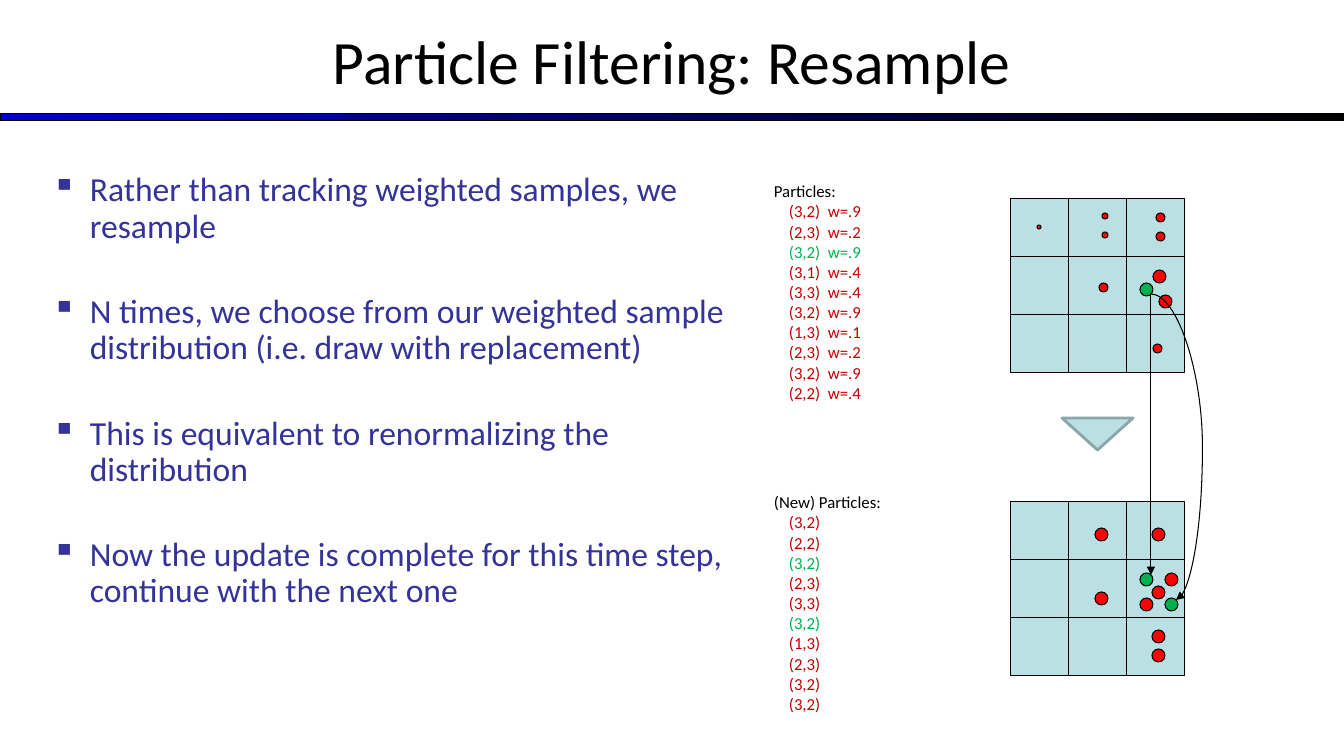
from dataclasses import dataclass

from lxml.etree import SubElement
from pptx import Presentation
from pptx.dml.color import RGBColor
from pptx.enum.shapes import MSO_CONNECTOR, MSO_SHAPE
from pptx.enum.text import MSO_ANCHOR, MSO_AUTO_SIZE, PP_ALIGN
from pptx.oxml.ns import qn
from pptx.util import Pt

PX = 12192000 / 1344


@dataclass(frozen=True)
class Theme:
    font: str = "Calibri"
    title_size: int = 44
    body_size: int = 24
    list_size: int = 12
    black: str = "000000"
    bar_blue: str = "0000CC"
    body: str = "333399"
    cell: str = "BBE0E3"
    triangle_line: str = "8AA6A8"
    red: str = "FF0000"
    green: str = "00B050"
    list_red: str = "C00000"


theme = Theme()


def px(*lengths):
    return [round(length * PX) for length in lengths]


def write(paragraph, text, size, color, formats):
    """Fill one paragraph and apply its format values."""
    run = paragraph.add_run()
    run.text = text
    run.font.name, run.font.size = theme.font, Pt(size)
    run.font.color.rgb = RGBColor.from_string(color)
    for name, value in formats.items():
        setattr(paragraph, name, value)


presentation = Presentation()
presentation.slide_width, presentation.slide_height = px(1344, 756)
slide = presentation.slides.add_slide(presentation.slide_layouts[5])

# Title
title = slide.shapes.title
title.left, title.top, title.width, title.height = px(0, -3, 1344, 126)
title_format = {"vertical_anchor": MSO_ANCHOR.MIDDLE, "word_wrap": True,
                "auto_size": MSO_AUTO_SIZE.NONE}
for name, value in title_format.items():
    setattr(title.text_frame, name, value)
write(title.text_frame.paragraphs[0], "Particle Filtering: Resample",
      theme.title_size, theme.black, {"alignment": PP_ALIGN.CENTER})

# Gradient bar under the title
bar = slide.shapes.add_shape(MSO_SHAPE.RECTANGLE, *px(0, 114, 1344, 7))
bar.shadow.inherit = False
bar.fill.gradient()
bar.fill.gradient_angle = 0
for stop, color in zip(bar.fill.gradient_stops, (theme.bar_blue, theme.black)):
    stop.color.rgb = RGBColor.from_string(color)
bar.line.color.rgb = RGBColor.from_string(theme.black)
bar.line.width = Pt(0.75)

# Bullets
bullets = [
    "Rather than tracking weighted samples, we resample",
    "N times, we choose from our weighted sample distribution (i.e. draw with replacement)",
    "This is equivalent to renormalizing the distribution",
    "Now the update is complete for this time step, continue with the next one",
]
body = slide.shapes.add_textbox(*px(42, 168, 731, 516)).text_frame
body.word_wrap = True
for index, text in enumerate(bullets):
    paragraph = body.add_paragraph() if index else body.paragraphs[0]
    write(paragraph, text, theme.body_size, theme.body,
          {"line_spacing": 0.9, "space_before": Pt(35 if index else 0)})
    properties = paragraph._p.get_or_add_pPr()
    indent, = px(38)
    properties.set("marL", str(indent))
    properties.set("indent", str(-indent))
    SubElement(properties, qn("a:buChar")).set("char", "▪")

# Particle lists: top, heading, entries, rows in green
particle_lists = [
    (176, "Particles:",
     ["(3,2)  w=.9", "(2,3)  w=.2", "(3,2)  w=.9", "(3,1)  w=.4", "(3,3)  w=.4",
      "(3,2)  w=.9", "(1,3)  w=.1", "(2,3)  w=.2", "(3,2)  w=.9", "(2,2)  w=.4"], {2}),
    (487, "(New) Particles:",
     ["(3,2)", "(2,2)", "(3,2)", "(2,3)", "(3,3)",
      "(3,2)", "(1,3)", "(2,3)", "(3,2)", "(3,2)"], {2, 5}),
]
for top, heading, entries, green_rows in particle_lists:
    frame = slide.shapes.add_textbox(*px(764, top, 151, 234)).text_frame
    frame.word_wrap = True
    write(frame.paragraphs[0], heading, theme.list_size, theme.black, {})
    for row, entry in enumerate(entries):
        paragraph = frame.add_paragraph()
        write(paragraph, entry, theme.list_size,
              theme.green if row in green_rows else theme.list_red, {})
        paragraph._p.get_or_add_pPr().set("marL", str(px(15)[0]))

# Grids: top, then particles as left, top, diameter, colour
CELL, GRID_LEFT = 58, 1011
red, green = theme.red, theme.green
grids = [
    (199, [(1140, 283, 13, green), (1159, 295, 13, red), (1156, 213, 9, red),
           (1099, 283, 9, red), (1153, 344, 9, red), (1156, 232, 9, red),
           (1102, 232, 6, red), (1102, 213, 6, red), (1153, 270, 13, red),
           (1037, 225, 4, red)]),
    (502, [(1140, 598, 13, red), (1165, 573, 13, red), (1152, 586, 13, red),
           (1095, 592, 13, red), (1152, 528, 13, red), (1140, 573, 13, green),
           (1152, 630, 13, red), (1165, 598, 13, green), (1152, 649, 13, red),
           (1095, 528, 13, red)]),
]
for grid_top, particles in grids:
    group = slide.shapes.add_group_shape()
    parts = [(MSO_SHAPE.RECTANGLE, GRID_LEFT + column * CELL, grid_top + row * CELL,
              CELL, theme.cell) for row in range(3) for column in range(3)]
    parts += [(MSO_SHAPE.OVAL, *particle) for particle in particles]
    for kind, left, top, size, color in parts:
        shape = group.shapes.add_shape(kind, *px(left, top, size, size))
        shape.shadow.inherit = False
        shape.fill.solid()
        shape.fill.fore_color.rgb = RGBColor.from_string(color)
        shape.line.color.rgb = RGBColor.from_string(theme.black)
        shape.line.width = Pt(0.75)

# Triangle pointing from the old grid to the new one
triangle = slide.shapes.add_shape(MSO_SHAPE.ISOSCELES_TRIANGLE, *px(1062, 418, 71, 32))
triangle.rotation = 180
triangle.shadow.inherit = False
triangle.fill.solid()
triangle.fill.fore_color.rgb = RGBColor.from_string(theme.cell)
triangle.line.color.rgb = RGBColor.from_string(theme.triangle_line)
triangle.line.width = Pt(2)

# Arrows from the chosen particle to its two new samples
arrows = [
    (MSO_CONNECTOR.STRAIGHT, (1151, 294, 1151, 575), None),
    (MSO_CONNECTOR.CURVE, (1151, 294, 1176, 600), 206100),
]
for kind, ends, bend in arrows:
    arrow = slide.shapes.add_connector(kind, *px(*ends))
    arrow.line.color.rgb = RGBColor.from_string(theme.black)
    arrow.line.width = Pt(0.75)
    SubElement(arrow.line._get_or_add_ln(), qn("a:tailEnd")).set("type", "triangle")
    properties = arrow._element.spPr
    SubElement(properties, qn("a:effectLst"))
    if bend:
        guide = SubElement(properties.find(qn("a:prstGeom")).find(qn("a:avLst")), qn("a:gd"))
        guide.set("name", "adj1")
        guide.set("fmla", f"val {bend}")

presentation.save("out.pptx")
